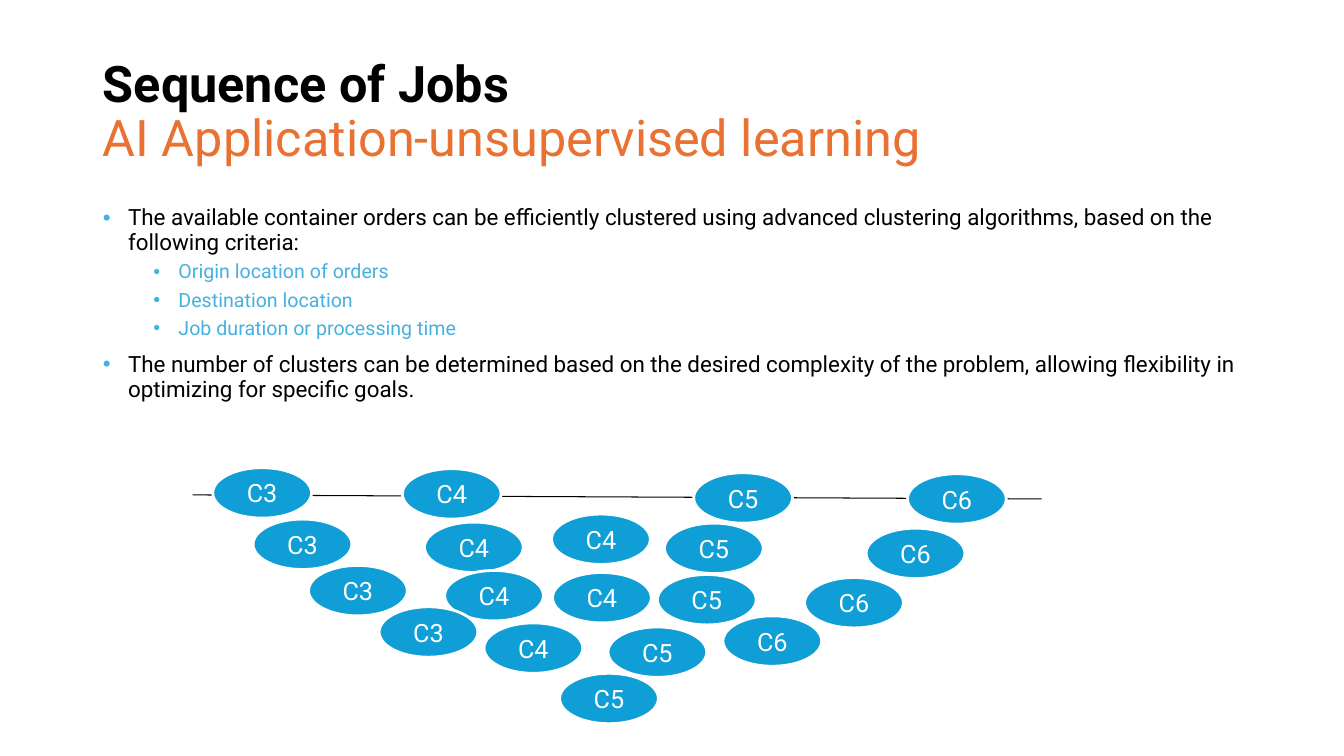
from lxml import etree
from pptx import Presentation
from pptx.dml.color import RGBColor
from pptx.enum.shapes import MSO_CONNECTOR, MSO_SHAPE
from pptx.enum.text import MSO_ANCHOR, MSO_AUTO_SIZE, PP_ALIGN
from pptx.oxml.ns import qn
from pptx.util import Inches, Pt

BLACK = RGBColor(0x00, 0x00, 0x00)
WHITE = RGBColor(0xFF, 0xFF, 0xFF)
ORANGE = RGBColor(0xE9, 0x71, 0x32)
SKY = RGBColor(0x46, 0xB1, 0xE1)
BLUE = RGBColor(0x0F, 0x9E, 0xD5)
FONT = "Roboto"

BULLETS = [
    (0, "The available container orders can be efficiently clustered using "
        "advanced clustering algorithms, based on the following criteria:"),
    (1, "Origin location of orders"),
    (1, "Destination location"),
    (1, "Job duration or processing time"),
    (0, "The number of clusters can be determined based on the desired complexity "
        "of the problem, allowing flexibility in optimizing for specific goals."),
]

# Left and top of each job, relative to the diagram's box
CLUSTERS = {
    "C6": [(7.09, 0.06), (6.68, 0.6), (6.07, 1.09), (5.26, 1.47)],
    "C5": [(4.97, 0.05), (4.68, 0.55), (4.61, 1.06), (4.12, 1.58), (3.64, 2.04)],
    "C4": [(2.08, 0.01), (2.3, 0.54), (2.5, 1.02), (2.89, 1.54),
           (3.56, 0.46), (3.57, 1.04)],
    "C3": [(0.2, 0), (0.6, 0.51), (1.15, 0.97), (1.85, 1.38)],
}


def add_text(p, text, size, color, bold=False):
    r = p.add_run()
    r.text = text
    r.font.name = FONT
    r.font.size = Pt(size)
    r.font.bold = bold
    r.font.color.rgb = color


def place(sp, left, top, width, height, anchor):
    sp.left, sp.top = Inches(left), Inches(top)
    sp.width, sp.height = Inches(width), Inches(height)
    tf = sp.text_frame
    tf.word_wrap = True
    tf.auto_size = MSO_AUTO_SIZE.NONE
    tf.vertical_anchor = anchor
    return tf


def set_bullet(p, left, hanging, color):
    pPr = p._p.get_or_add_pPr()
    pPr.set("marL", str(Inches(left)))
    pPr.set("indent", str(-Inches(hanging)))
    clr = etree.SubElement(pPr, qn("a:buClr"))
    etree.SubElement(clr, qn("a:srgbClr"), val=str(color))
    etree.SubElement(pPr, qn("a:buFont"), typeface="Arial")
    etree.SubElement(pPr, qn("a:buChar"), char="•")


def fill_title(sp, left, top, width, height):
    tf = place(sp, left, top, width, height, MSO_ANCHOR.MIDDLE)
    p = tf.paragraphs[0]
    p.alignment = PP_ALIGN.LEFT
    p.line_spacing = 0.9
    add_text(p, "Sequence of Jobs", 36, BLACK, bold=True)
    p.add_line_break()
    add_text(p, "AI Application-unsupervised learning", 36, ORANGE)


def fill_body(sp, left, top, width, height):
    tf = place(sp, left, top, width, height, MSO_ANCHOR.TOP)
    for i, (level, text) in enumerate(BULLETS):
        p = tf.add_paragraph() if i else tf.paragraphs[0]
        p.level = level
        p.line_spacing = 0.9
        p.space_before = Pt(5 if level else 10)
        set_bullet(p, 0.25 + 0.5 * level, 0.25, SKY)
        add_text(p, text, 14 if level else 16, SKY if level else BLACK)


def add_job(slide, label, left, top):
    sp = slide.shapes.add_shape(MSO_SHAPE.FLOWCHART_CONNECTOR, Inches(left),
                                Inches(top), Inches(0.98), Inches(0.5))
    sp.shadow.inherit = False
    sp.fill.solid()
    sp.fill.fore_color.rgb = BLUE
    sp.line.color.rgb = WHITE
    sp.line.width = Pt(2)
    tf = sp.text_frame
    tf.vertical_anchor = MSO_ANCHOR.MIDDLE
    p = tf.paragraphs[0]
    p.alignment = PP_ALIGN.CENTER
    add_text(p, label, 18, WHITE)


def add_diagram(slide, left, top, width):
    """Draw the baseline with the clusters of jobs hanging from it."""
    line = slide.shapes.add_connector(
        MSO_CONNECTOR.STRAIGHT, Inches(left + width), Inches(top + 0.31),
        Inches(left), Inches(top + 0.27))
    line.line.color.rgb = BLACK
    line.line.width = Pt(0.75)
    etree.SubElement(line._element.spPr, qn("a:effectLst"))
    for label, spots in CLUSTERS.items():
        for x, y in spots:
            add_job(slide, label, left + x, top + y)


def main():
    prs = Presentation()
    prs.slide_width, prs.slide_height = Inches(13.33), Inches(7.5)
    slide = prs.slides.add_slide(prs.slide_layouts[1])
    fill_title(slide.shapes.title, 0.92, 0.4, 11.5, 1.45)
    fill_body(slide.placeholders[1], 0.92, 2, 11.5, 4.76)
    add_diagram(slide, 1.91, 4.64, 8.42)
    prs.save("out.pptx")


if __name__ == "__main__":
    main()
